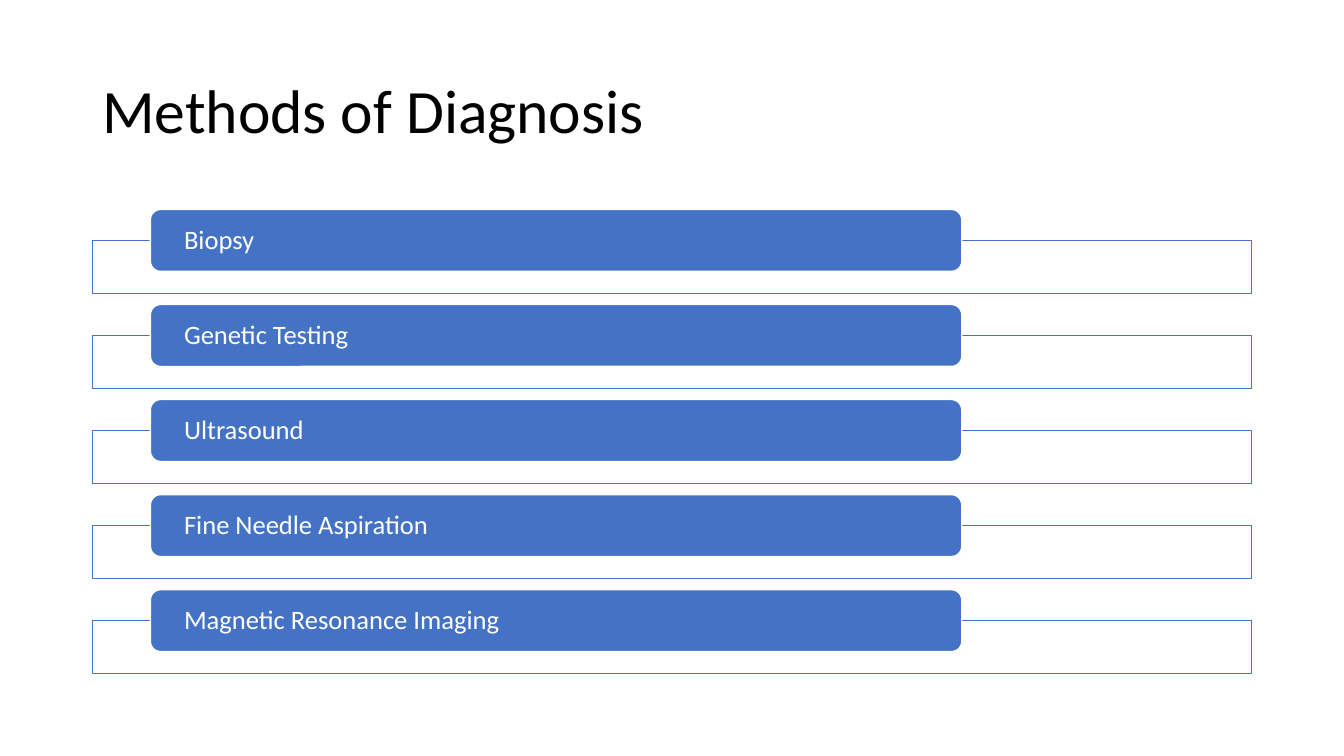
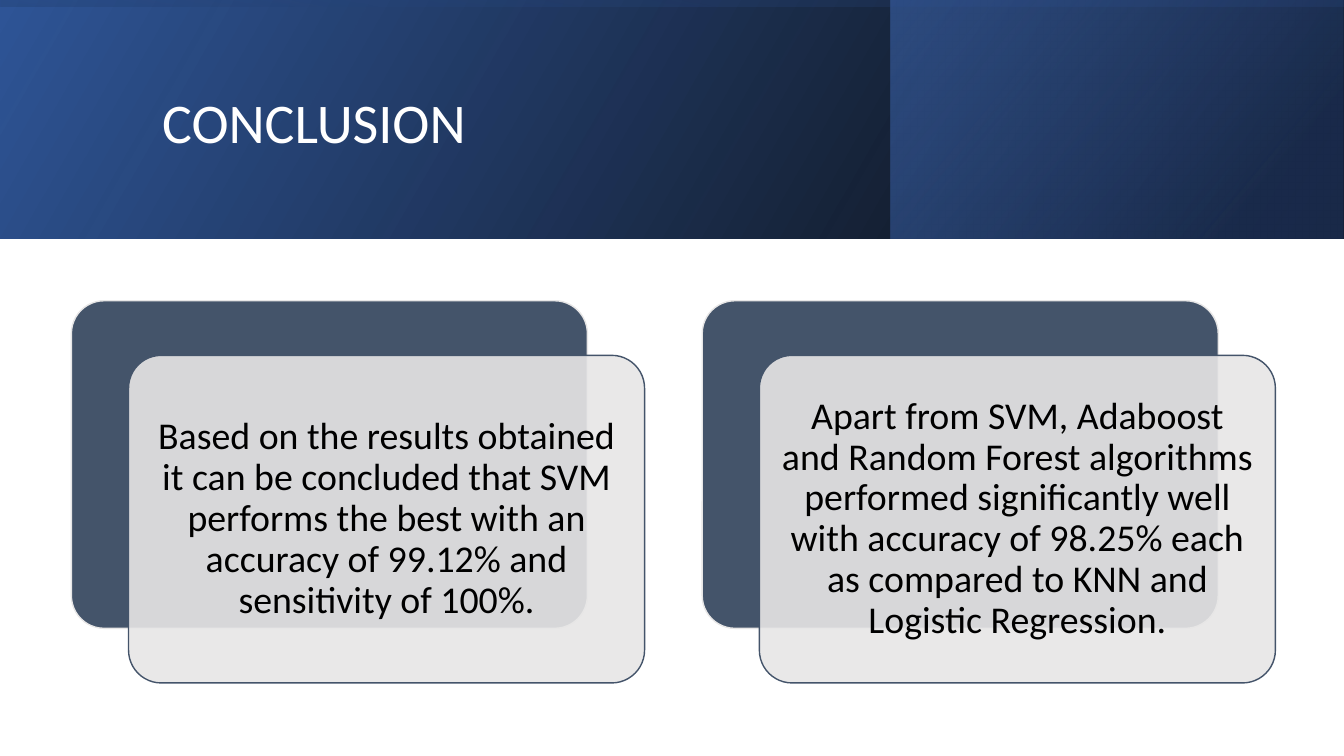
import lxml.etree
import pptx
import pptx.dml.color
import pptx.enum.shapes
import pptx.enum.text
import pptx.oxml.ns
import pptx.util

Pt = pptx.util.Pt
SHAPES = pptx.enum.shapes.MSO_SHAPE
ALIGN = pptx.enum.text.PP_ALIGN

FONT = "Calibri"
WHITE, BLACK = "FFFFFF", "000000"
BLUE, DEEP_BLUE, NAVY = "4472C4", "2F5597", "203864"
SLATE, LIGHT_GREY = "44546A", "E7E6E6"

PAGE_WIDTH, PAGE_HEIGHT = 960, 540
BANNER_HEIGHT = 170.64

METHODS = [
    "Biopsy",
    "Genetic Testing",
    "Ultrasound",
    "Fine Needle Aspiration",
    "Magnetic Resonance Imaging",
]
FINDINGS = [
    "Based on the results obtained it can be concluded that SVM performs "
    "the best with an accuracy of 99.12% and sensitivity of 100%.",
    "Apart from SVM, Adaboost and Random Forest algorithms performed "
    "significantly well with accuracy of 98.25% each as compared to KNN and "
    "Logistic Regression.",
]


def rgb(value):
    """Turn a hex string into a colour."""
    return pptx.dml.color.RGBColor.from_string(value)


def set_opacity(shape, fill_tag, opacities):
    """Give each colour of a shape's fill its opacity in percent."""
    qn = pptx.oxml.ns.qn
    fill = shape._element.spPr.find(qn(fill_tag))
    for colour, opacity in zip(fill.iter(qn("a:srgbClr")), opacities):
        if opacity < 100:
            alpha = lxml.etree.SubElement(colour, qn("a:alpha"))
            alpha.set("val", str(opacity * 1000))


def write(box, text, size, colour, align=ALIGN.LEFT, insets=(7.2, 3.6)):
    """Write one vertically centred paragraph into a box."""
    frame = box.text_frame
    frame.word_wrap = True
    frame.vertical_anchor = pptx.enum.text.MSO_ANCHOR.MIDDLE
    frame.margin_left = frame.margin_right = Pt(insets[0])
    frame.margin_top = frame.margin_bottom = Pt(insets[1])
    para = frame.paragraphs[0]
    para.alignment = align
    para.line_spacing = 0.9
    span = para.add_run()
    span.text = text
    span.font.name = FONT
    span.font.size = Pt(size)
    span.font.color.rgb = rgb(colour)


def add_title(page, bounds, text, size, colour):
    """Add the title of a page."""
    box = page.shapes.add_textbox(*map(Pt, bounds))
    write(box, text, size, colour)


def add_panel(page, kind, bounds, fill, line, opacity=100):
    """Add a filled shape with a thin outline."""
    panel = page.shapes.add_shape(kind, *map(Pt, bounds))
    panel.shadow.inherit = False
    panel.fill.solid()
    panel.fill.fore_color.rgb = rgb(fill)
    set_opacity(panel, "a:solidFill", [opacity])
    panel.line.color.rgb = rgb(line)
    panel.line.width = Pt(1)
    return panel


def add_gradient(page, bounds, stops, angle, rotation=0):
    """Add a mirrored rectangle with a two-stop (position, colour, opacity) gradient."""
    band = page.shapes.add_shape(SHAPES.RECTANGLE, *map(Pt, bounds))
    band.shadow.inherit = False
    band.line.fill.background()
    band.rotation = rotation
    band._element.spPr.xfrm.set("flipH", "1")
    band.fill.gradient()
    band.fill.gradient_angle = 360 - angle
    for stop, (position, colour, _) in zip(band.fill.gradient_stops, stops):
        stop.position = position
        stop.color.rgb = rgb(colour)
    set_opacity(band, "a:gradFill", [opacity for _, _, opacity in stops])


def add_method(page, top, text):
    """Add a labelled pill on the upper edge of an open track."""
    pill_height = 44.28
    track = (66, top + pill_height / 2, 828, 37.8)
    add_panel(page, SHAPES.RECTANGLE, track, WHITE, BLUE, 90)
    pill_bounds = (107.4, top, 579.6, pill_height)
    pill = add_panel(page, SHAPES.ROUNDED_RECTANGLE, pill_bounds, BLUE, WHITE)
    write(pill, text, 19, WHITE, insets=(21.9, 0))


def add_finding(page, left, text):
    """Add a text card lying over an offset backing card."""
    top, width, height = 214.8, 368.6, 234
    back_bounds = (left, top, width, height)
    front_bounds = (left + 40.8, top + 39, width, height)
    back = add_panel(page, SHAPES.ROUNDED_RECTANGLE, back_bounds, SLATE, LIGHT_GREY)
    card = add_panel(page, SHAPES.ROUNDED_RECTANGLE, front_bounds, LIGHT_GREY, SLATE, 90)
    for panel in (back, card):
        panel.adjustments[0] = 0.1
    write(card, text, 27, BLACK, ALIGN.CENTER, (8, 8))


def add_banner(page):
    """Layer the three gradients of the top banner."""
    add_gradient(page, (0, 0, PAGE_WIDTH, BANNER_HEIGHT),
                 [(0, BLACK, 96), (1, DEEP_BLUE, 100)], 330)
    add_gradient(page, (636.5, 0, 322.8, BANNER_HEIGHT),
                 [(0.19, NAVY, 68), (1, BLUE, 48)], 320)
    shift = (PAGE_WIDTH - BANNER_HEIGHT) / 2
    add_gradient(page, (shift, -shift, BANNER_HEIGHT, PAGE_WIDTH),
                 [(0.23, DEEP_BLUE, 16), (0.99, BLACK, 45)], 350, 270)


def build_methods(page):
    """Build the list of diagnosis methods."""
    add_title(page, (66, 28.8, 828, 104.4), "Methods of Diagnosis", 44, BLACK)
    for row, method in enumerate(METHODS):
        add_method(page, 149.6 + 67.9 * row, method)


def build_conclusion(page):
    """Build the conclusion with its two cards."""
    add_banner(page)
    add_title(page, (108.8, 27.4, 765.4, 123.8), "CONCLUSION", 40, WHITE)
    for column, finding in enumerate(FINDINGS):
        add_finding(page, 51 + 450.6 * column, finding)


def main():
    """Build and save the deck."""
    deck = pptx.Presentation()
    deck.slide_width, deck.slide_height = Pt(PAGE_WIDTH), Pt(PAGE_HEIGHT)
    for build in (build_methods, build_conclusion):
        build(deck.slides.add_slide(deck.slide_layouts[6]))
    deck.save("out.pptx")


if __name__ == "__main__":
    main()
